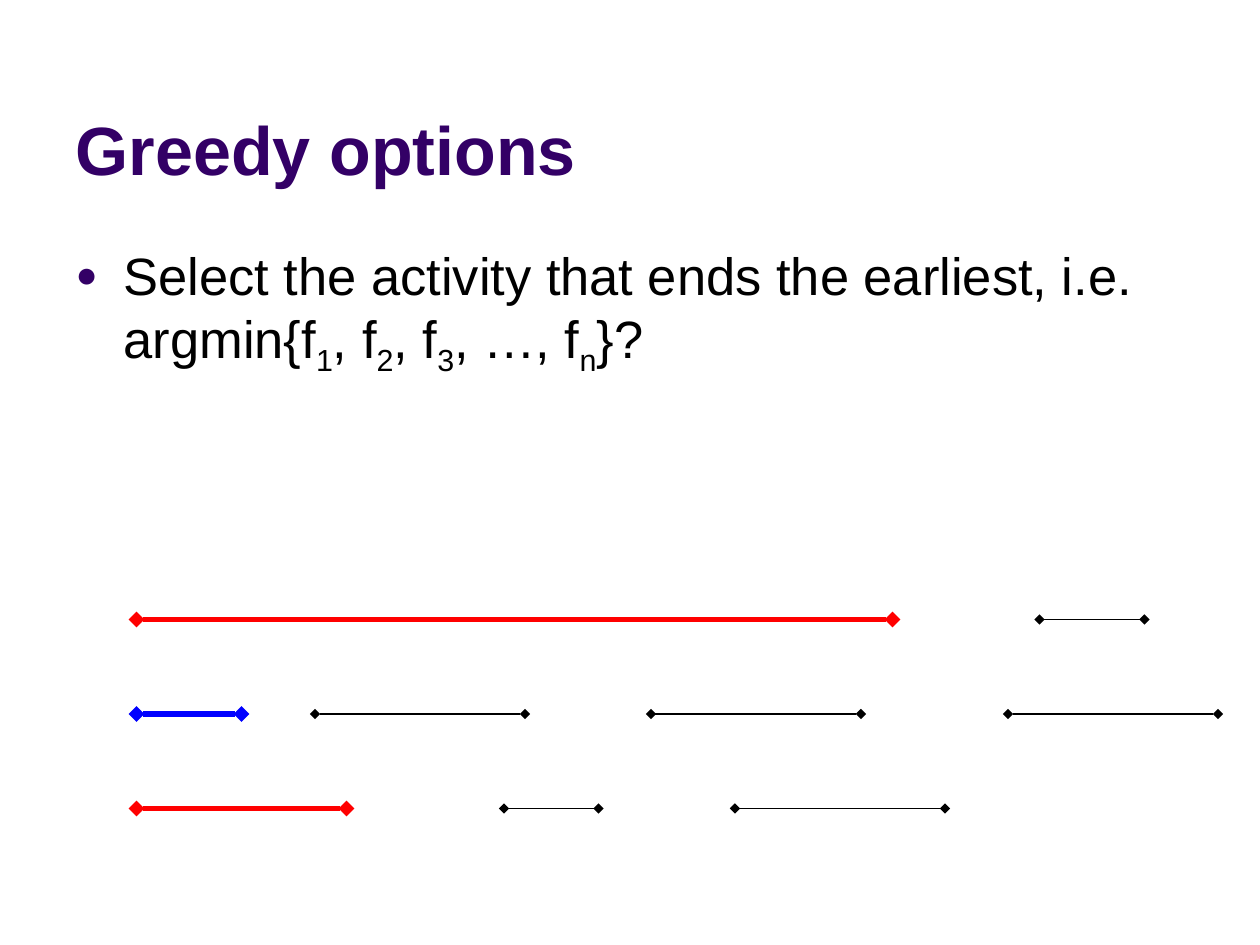
from lxml import etree
from pptx import Presentation
from pptx import util as u
from pptx.dml.color import RGBColor
from pptx.enum import shapes, text
from pptx.oxml.ns import qn

PURPLE = RGBColor(0x33, 0x00, 0x66)
BLACK = RGBColor(0x00, 0x00, 0x00)
RED = RGBColor(0xFF, 0x00, 0x00)
BLUE = RGBColor(0x00, 0x00, 0xFF)

CELL = u.Inches(1) / 12  # grid step for the activity timeline
THICK, THIN = 3, 0.75

# Row on the grid: activities as (start column, finish column, colour, width)
ACTIVITIES = {
    59: [(13, 85, RED, THICK), (99, 109, BLACK, THIN)],
    68: [(13, 23, BLUE, THICK), (30, 50, BLACK, THIN),
         (62, 82, BLACK, THIN), (96, 116, BLACK, THIN)],
    77: [(13, 33, RED, THICK), (48, 57, BLACK, THIN), (70, 90, BLACK, THIN)],
}

# Text runs, each with a flag for subscript
QUESTION = [
    ("Select the activity that ends the earliest, i.e. argmin{f", False),
    ("1", True), (", f", False), ("2", True), (", f", False), ("3", True),
    (", …, f", False), ("n", True), ("}?", False),
]


class SlideBuilder:
    font_name = "Arial"
    indent = u.Inches(0.38)

    def __init__(self, slide):
        self.slide = slide

    def place(self, placeholder, top, height, anchor):
        placeholder.left, placeholder.width = u.Inches(0.5), u.Inches(9)
        placeholder.top, placeholder.height = u.Inches(top), u.Inches(height)
        frame = placeholder.text_frame
        frame.auto_size = text.MSO_AUTO_SIZE.NONE
        frame.word_wrap = True
        frame.vertical_anchor = anchor
        paragraph = frame.paragraphs[0]
        paragraph.alignment = text.PP_ALIGN.LEFT
        return paragraph

    def add_run(self, paragraph, wording, size, color, bold=False, subscript=False):
        run = paragraph.add_run()
        run.text = wording
        run.font.name = self.font_name
        run.font.size = u.Pt(size)
        run.font.bold = bold
        run.font.color.rgb = color
        if subscript:
            run.font._element.set("baseline", "-25000")

    def title(self, wording):
        paragraph = self.place(self.slide.shapes.title, 0.13, 1.42,
                               text.MSO_ANCHOR.BOTTOM)
        self.add_run(paragraph, wording, 39, PURPLE, bold=True)

    def bullet(self, runs):
        paragraph = self.place(self.slide.placeholders[1], 1.88, 1.87,
                               text.MSO_ANCHOR.TOP)
        paragraph.space_before = u.Pt(6)
        properties = paragraph._p.get_or_add_pPr()
        properties.set("marL", str(self.indent))
        properties.set("indent", str(-self.indent))
        color = etree.SubElement(properties, qn("a:buClr"))
        etree.SubElement(color, qn("a:srgbClr"), val=str(PURPLE))
        etree.SubElement(properties, qn("a:buSzPct"), val="70000")
        etree.SubElement(properties, qn("a:buFont"), typeface=self.font_name)
        etree.SubElement(properties, qn("a:buChar"), char="●")
        for wording, subscript in runs:
            self.add_run(paragraph, wording, 30, BLACK, subscript=subscript)

    def activity(self, row, start, finish, color, width):
        """Draw a horizontal interval with a diamond at each end."""
        y = round(row * CELL)
        connector = self.slide.shapes.add_connector(
            shapes.MSO_CONNECTOR.STRAIGHT,
            round(start * CELL), y, round(finish * CELL), y)
        connector.line.color.rgb = color
        connector.line.width = u.Pt(width)
        line = connector.line._get_or_add_ln()
        for end in ("a:headEnd", "a:tailEnd"):
            etree.SubElement(line, qn(end), type="diamond")
        etree.SubElement(connector._element.spPr, qn("a:effectLst"))


def main():
    presentation = Presentation()
    presentation.slide_width = u.Inches(10)
    presentation.slide_height = u.Inches(7.5)
    slide = presentation.slides.add_slide(presentation.slide_layouts[1])
    builder = SlideBuilder(slide)
    builder.title("Greedy options")
    builder.bullet(QUESTION)
    for row, intervals in ACTIVITIES.items():
        for interval in intervals:
            builder.activity(row, *interval)
    presentation.save("out.pptx")


if __name__ == "__main__":
    main()
